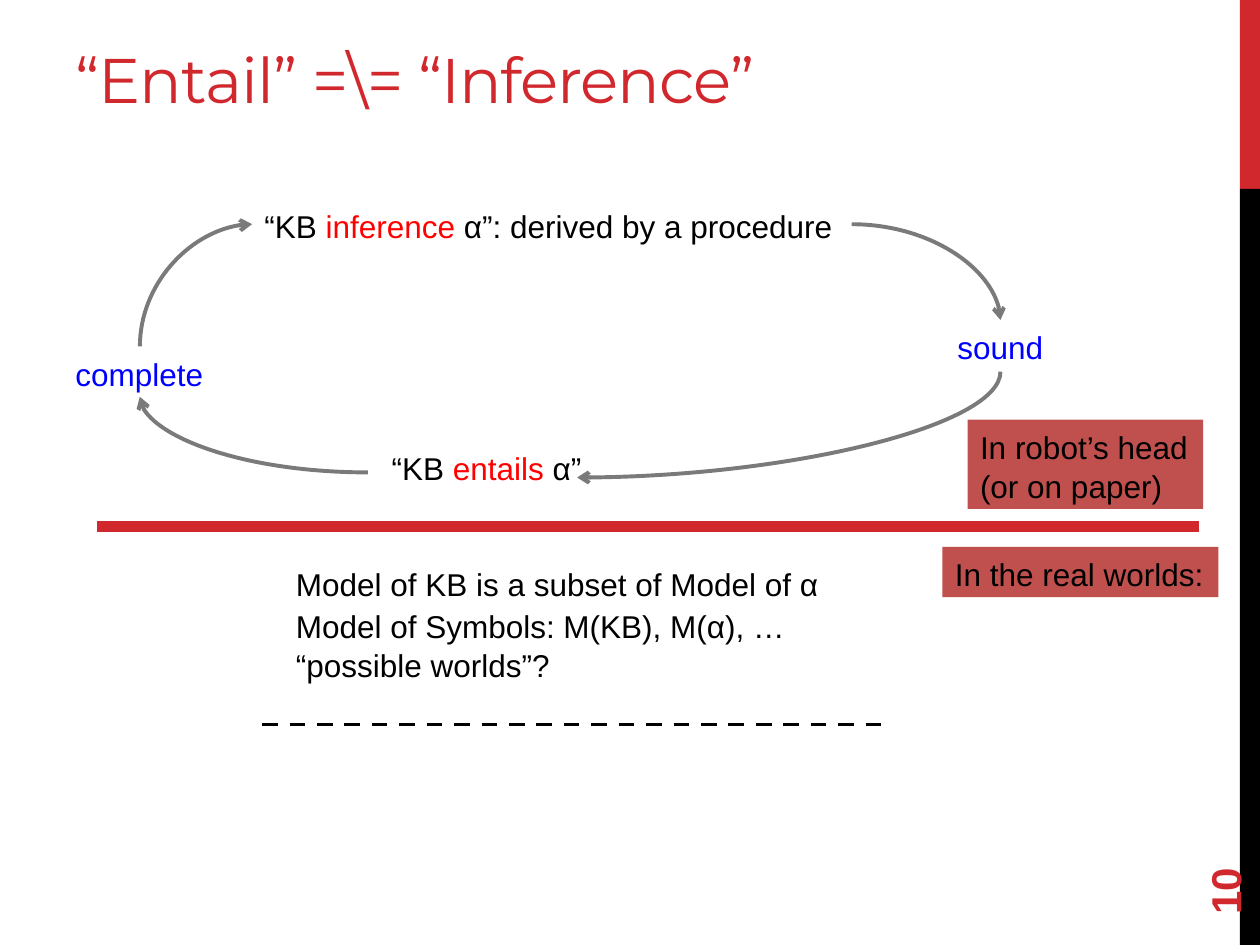
"""Build the slide that sets entailment against inference."""
from dataclasses import dataclass

import lxml.etree
import pptx
import pptx.dml.color
import pptx.enum.dml
import pptx.enum.shapes
import pptx.enum.text
import pptx.oxml.ns
import pptx.util

COLUMNS, ROWS = 100, 75
CELL = pptx.util.Inches(0.1)
COLORS = {
    "accent": "D1282E", "black": "000000", "red": "FF0000",
    "blue": "0000FF", "brick": "C0504D", "gray": "7A7A7A",
}
Point = tuple[float, float]
Span = tuple[str, str]


@dataclass(frozen=True)
class Line:
    spans: tuple[Span, ...]
    indent: float = 0
    before: float = 0


@dataclass(frozen=True)
class Label:
    area: tuple[float, float, float, float]
    lines: tuple[Line, ...]
    fill: str = ""
    wrap: bool = False


@dataclass(frozen=True)
class Rule:
    start: Point
    end: Point
    color: str
    width: float
    dashed: bool = False


@dataclass(frozen=True)
class Arc:
    start: Point
    end: Point
    vertical_first: bool = False


def plain(text: str, color: str = "black", before: float = 0) -> Line:
    return Line(((text, color),), before=before)


LABELS = (
    Label((22.5, 35, 59.2, 13.1), (
        Line((("“KB ", "black"), ("entails ", "red"), ("α”", "black")), indent=7.6),
        plain("Model of KB is a subset of Model of α", before=43.5),
    ), wrap=True),
    Label((20, 15.8, 47.6, 4), (
        Line((("“KB ", "black"), ("inference ", "red"),
              ("α”: derived by a procedure", "black"))),
    )),
    Label((74.8, 43.4, 21.9, 4), (plain("In the real worlds:"),), "brick"),
    Label((22.5, 47.5, 52.5, 9.1), (
        plain("Model of Symbols: M(KB), M(α), …"), plain("“possible worlds”?"),
    )),
    Label((76.8, 33.3, 18.7, 7.1), (plain("In robot’s head"), plain("(or on paper)")), "brick"),
    Label((75, 25.4, 8.9, 4), (plain("sound", "blue"),)),
    Label((5, 27.5, 12.3, 4), (plain("complete", "blue"),)),
)
RULES = (
    Rule((7.7, 41.8), (95.2, 41.8), "accent", 6),
    Rule((20.8, 57.5), (70.8, 57.5), "black", 2.25, dashed=True),
)
ARCS = (
    Arc((67.6, 17.8), (79.4, 25.4)),
    Arc((79.4, 29.5), (45.8, 37.9), vertical_first=True),
    Arc((29.2, 37.5), (11.1, 31.5)),
    Arc((11.1, 27.5), (20, 17.8), vertical_first=True),
)


def cells(*counts: float) -> list[int]:
    return [round(count * CELL) for count in counts]


def rgb(name: str) -> pptx.dml.color.RGBColor:
    return pptx.dml.color.RGBColor.from_string(COLORS[name])


def style(font, size: float, color: str = "", name: str = "Arial") -> None:
    font.size, font.name = pptx.util.Pt(size), name
    if color:
        font.color.rgb = rgb(color)


def add_band(page, top: float, height: float, color: str) -> None:
    band = page.shapes.add_shape(
        pptx.enum.shapes.MSO_SHAPE.RECTANGLE, *cells(98.4, top, 1.6, height))
    band.shadow.inherit = False
    band.fill.solid()
    band.fill.fore_color.rgb = rgb(color)
    band.line.fill.background()


def add_title(page, text: str) -> None:
    title = page.shapes.title
    title.left, title.top, title.width, title.height = cells(5, 1.8, 84.8, 7.9)
    frame = title.text_frame
    frame.text = text
    frame.vertical_anchor = pptx.enum.text.MSO_ANCHOR.BOTTOM
    para = frame.paragraphs[0]
    para.alignment = pptx.enum.text.PP_ALIGN.LEFT
    style(para.font, 36, "accent", "Montserrat")
    para.runs[0]._r.get_or_add_rPr().set("spc", "-60")


def add_page_number(page, number: str) -> None:
    box = page.shapes.add_textbox(*cells(90, 64.4, 14.4, 4))
    box.rotation = 270
    frame = box.text_frame
    frame.word_wrap = True
    frame.vertical_anchor = pptx.enum.text.MSO_ANCHOR.MIDDLE
    frame.text = number
    font = frame.paragraphs[0].font
    style(font, 24, "accent")
    font.bold = True


def add_label(page, label: Label) -> None:
    box = page.shapes.add_textbox(*cells(*label.area))
    if label.fill:
        box.fill.solid()
        box.fill.fore_color.rgb = rgb(label.fill)
    frame = box.text_frame
    frame.word_wrap = label.wrap
    frame.auto_size = pptx.enum.text.MSO_AUTO_SIZE.SHAPE_TO_FIT_TEXT
    for index, line in enumerate(label.lines):
        para = frame.add_paragraph() if index else frame.paragraphs[0]
        para.line_spacing = 1.05
        if line.before:
            para.space_before = pptx.util.Pt(line.before)
        if line.indent:
            para._p.get_or_add_pPr().set("marL", str(cells(line.indent)[0]))
        style(para.font, 18)
        for text, color in line.spans:
            span = para.add_run()
            span.text = text
            span.font.color.rgb = rgb(color)


def add_line(page, kind, start: Point, end: Point, color: str, width: float):
    line = page.shapes.add_connector(kind, *cells(*start, *end))
    line.line.color.rgb = rgb(color)
    line.line.width = pptx.util.Pt(width)
    lxml.etree.SubElement(line._element.spPr, pptx.oxml.ns.qn("a:effectLst"))
    return line


def add_rule(page, rule: Rule) -> None:
    line = add_line(page, pptx.enum.shapes.MSO_CONNECTOR.STRAIGHT,
                    rule.start, rule.end, rule.color, rule.width)
    if rule.dashed:
        line.line.dash_style = pptx.enum.dml.MSO_LINE.DASH


def add_arc(page, arc: Arc) -> None:
    (x1, y1), (x2, y2) = arc.start, arc.end
    if arc.vertical_first:
        x, y, across, down = (x1 + x2) / 2, (y1 + y2) / 2, (y2 - y1) / 2, (x1 - x2) / 2
        x1, y1, x2, y2 = x - across, y - down, x + across, y + down
    line = add_line(page, pptx.enum.shapes.MSO_CONNECTOR.CURVE,
                    (x1, y1), (x2, y2), "gray", 2.25)
    properties = line._element.spPr
    properties.find(pptx.oxml.ns.qn("a:prstGeom")).set("prst", "curvedConnector2")
    if arc.vertical_first:
        properties.find(pptx.oxml.ns.qn("a:xfrm")).set("rot", "5400000")
    outline = properties.find(pptx.oxml.ns.qn("a:ln"))
    lxml.etree.SubElement(outline, pptx.oxml.ns.qn("a:tailEnd"), type="arrow")


def main() -> None:
    deck = pptx.Presentation()
    deck.slide_width, deck.slide_height = cells(COLUMNS, ROWS)
    page = deck.slides.add_slide(deck.slide_layouts[5])
    add_band(page, 0, ROWS / 5, "accent")
    add_band(page, ROWS / 5, ROWS * 4 / 5, "black")
    add_title(page, "“Entail” =\\= “Inference”")
    add_page_number(page, "10")
    for label in LABELS:
        add_label(page, label)
    for rule in RULES:
        add_rule(page, rule)
    for arc in ARCS:
        add_arc(page, arc)
    deck.save("out.pptx")


if __name__ == "__main__":
    main()
